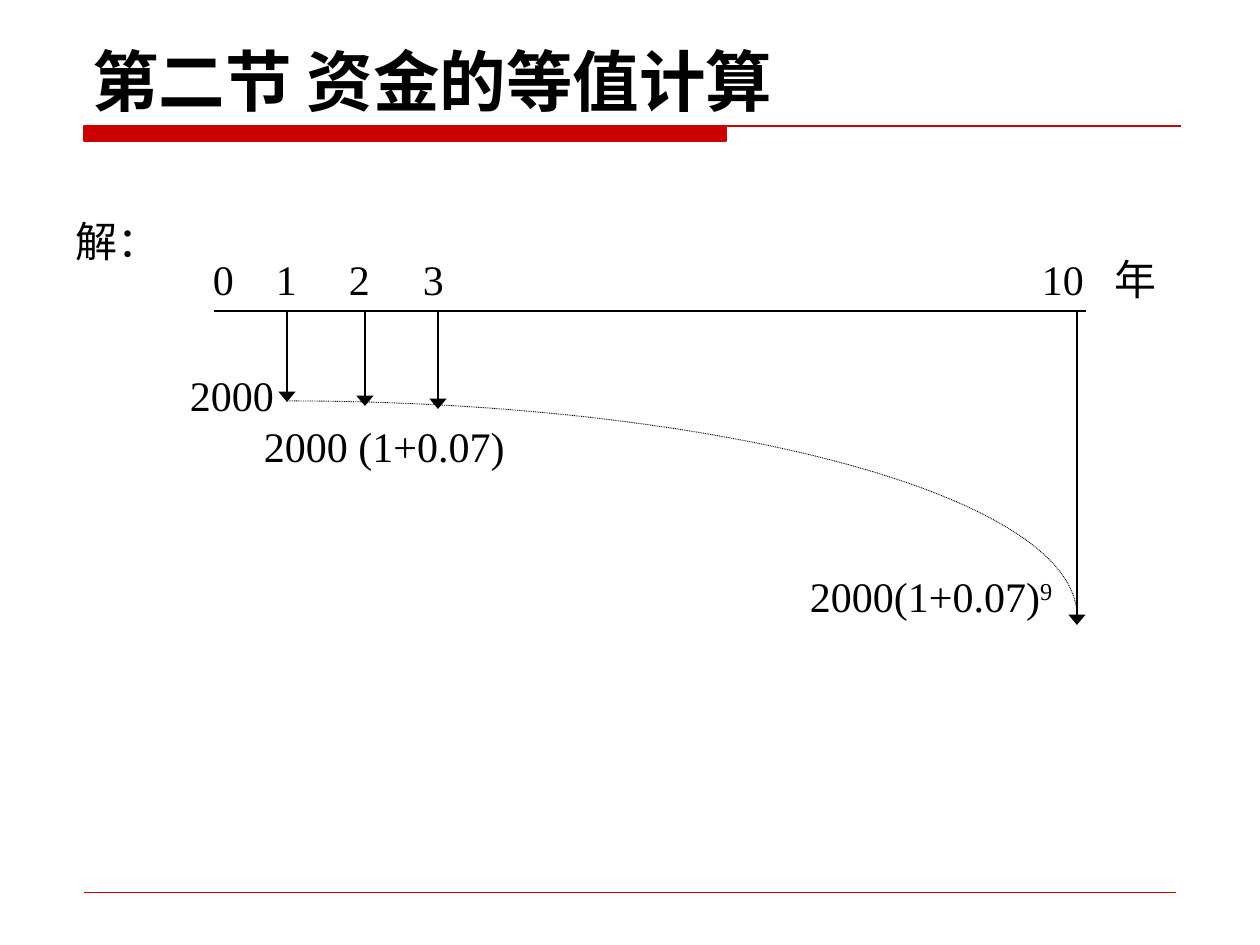
import math

import pptx
import pptx.dml.color
import pptx.enum.dml
import pptx.enum.shapes
import pptx.enum.text
import pptx.oxml.ns
import pptx.util

PX = 914400 // 126
THEME = {
    "ink": pptx.dml.color.RGBColor(0, 0, 0),
    "red": pptx.dml.color.RGBColor(0xCC, 0, 0),
    "title_font": "Noto Sans CJK SC",
    "body_font": "Times New Roman",
    "chinese_font": "Noto Sans CJK SC",
    "title_size": 38,
    "body_size": 24,
}
ANCHOR = pptx.enum.text.MSO_ANCHOR
AUTO_SIZE = pptx.enum.text.MSO_AUTO_SIZE
qn = pptx.oxml.ns.qn

deck = pptx.Presentation()
deck.slide_width, deck.slide_height = 1260 * PX, 945 * PX
page = deck.slides.add_slide(deck.slide_layouts[6])


def add_line(start, end, color, width, arrow=False):
    line = page.shapes.add_connector(
        pptx.enum.shapes.MSO_CONNECTOR.STRAIGHT, *(v * PX for v in start + end))
    line.line.color.rgb = THEME[color]
    line.line.width = pptx.util.Pt(width)
    properties = line._element.spPr
    if arrow:
        outline = properties.find(qn("a:ln"))
        outline.append(outline.makeelement(
            qn("a:tailEnd"), {"type": "triangle", "w": "lg", "len": "med"}))
    properties.append(properties.makeelement(qn("a:effectLst"), {}))


def add_text(place, rows, role="body", inset=1, **frame_format):
    """Each row is (text, superscript, indent px, space before px)."""
    box = page.shapes.add_textbox(*(v * PX for v in place))
    frame = box.text_frame
    margins = {f"margin_{side}": inset * PX for side in ("left", "top", "right", "bottom")}
    for name, value in {"word_wrap": True, **margins, **frame_format}.items():
        setattr(frame, name, value)
    for number, (text, power, indent, before) in enumerate(rows):
        para = frame.add_paragraph() if number else frame.paragraphs[0]
        para.space_before = before * PX
        layout = para._p.get_or_add_pPr()
        layout.set("marL", str(indent * PX))
        layout.set("indent", "0")
        for words, raised in ((text, False), (power, True)):
            if not words:
                continue
            span = para.add_run()
            span.text = words
            font = {"name": THEME[f"{role}_font"], "bold": role == "title",
                    "size": pptx.util.Pt(THEME[f"{role}_size"])}
            for name, value in font.items():
                setattr(span.font, name, value)
            span.font.color.rgb = THEME["ink"]
            letters = span._r.get_or_add_rPr()
            letters.append(letters.makeelement(
                qn("a:ea"), {"typeface": THEME["chinese_font"]}))
            if raised:
                letters.set("baseline", "30000")


# Title with its red bar, and the footer rule
bar = page.shapes.build_freeform(84, 126, scale=PX)
bar.add_line_segments([(726, 126), (726, 141), (84, 141)], close=True)
bar.move_to(84, 126)
bar.add_line_segments([(1181, 126)], close=False)
title_bar = bar.convert_to_shape()
title_bar.shadow.inherit = False
title_bar.fill.solid()
title_bar.fill.fore_color.rgb = THEME["red"]
title_bar.line.color.rgb = THEME["red"]
title_bar.line.width = pptx.util.Pt(0.75)
add_line((84, 892), (1176, 892), "red", 0.25)
add_text((79, 0, 1103, 126), [("第二节 资金的等值计算", "", 0, 0)],
         role="title", inset=6, margin_left=13 * PX, vertical_anchor=ANCHOR.BOTTOM)
add_text((63, 210, 126, 63), [("解：", "", 0, 0)],
         inset=6, margin_left=13 * PX, auto_size=AUTO_SIZE.SHAPE_TO_FIT_TEXT)

# Time axis and yearly payments
AXIS_Y = 311
add_line((214, AXIS_Y), (1086, AXIS_Y), "ink", 1)
for x, tip in ((287, 402), (365, 406), (438, 409), (1077, 625)):
    add_line((x, AXIS_Y), (x, tip), "ink", 0.75, arrow=True)

# Growth curve: a quarter of an ellipse
center_x, center_y, radius_x, radius_y = 287, 616, 790, 215
STEPS = 60
angles = [math.pi / 2 * step / STEPS for step in range(STEPS + 1)]
points = [(round((center_x + radius_x * math.sin(angle)) * PX),
           round((center_y - radius_y * math.cos(angle)) * PX)) for angle in angles]
curve = page.shapes.build_freeform(*points[0])
curve.add_line_segments(points[1:], close=False)
growth = curve.convert_to_shape()
growth.shadow.inherit = False
growth.fill.background()
growth.line.color.rgb = THEME["ink"]
growth.line.width = pptx.util.Pt(0.5)
growth.line.dash_style = pptx.enum.dml.MSO_LINE.ROUND_DOT

# Year labels above the axis, amounts below it
for label, x in (("0", 212), ("1", 275), ("2", 348), ("3", 422), ("10", 1041), ("年", 1114)):
    add_text((x, 253, 62, 52), [(label, "", 0, 0)])
add_text((189, 369, 924, 270), [
    ("2000", "", 0, 0),
    ("2000 (1+0.07)", "", 74, 0),
    ("2000(1+0.07)", "9", 620, 100),
])

deck.save("out.pptx")
